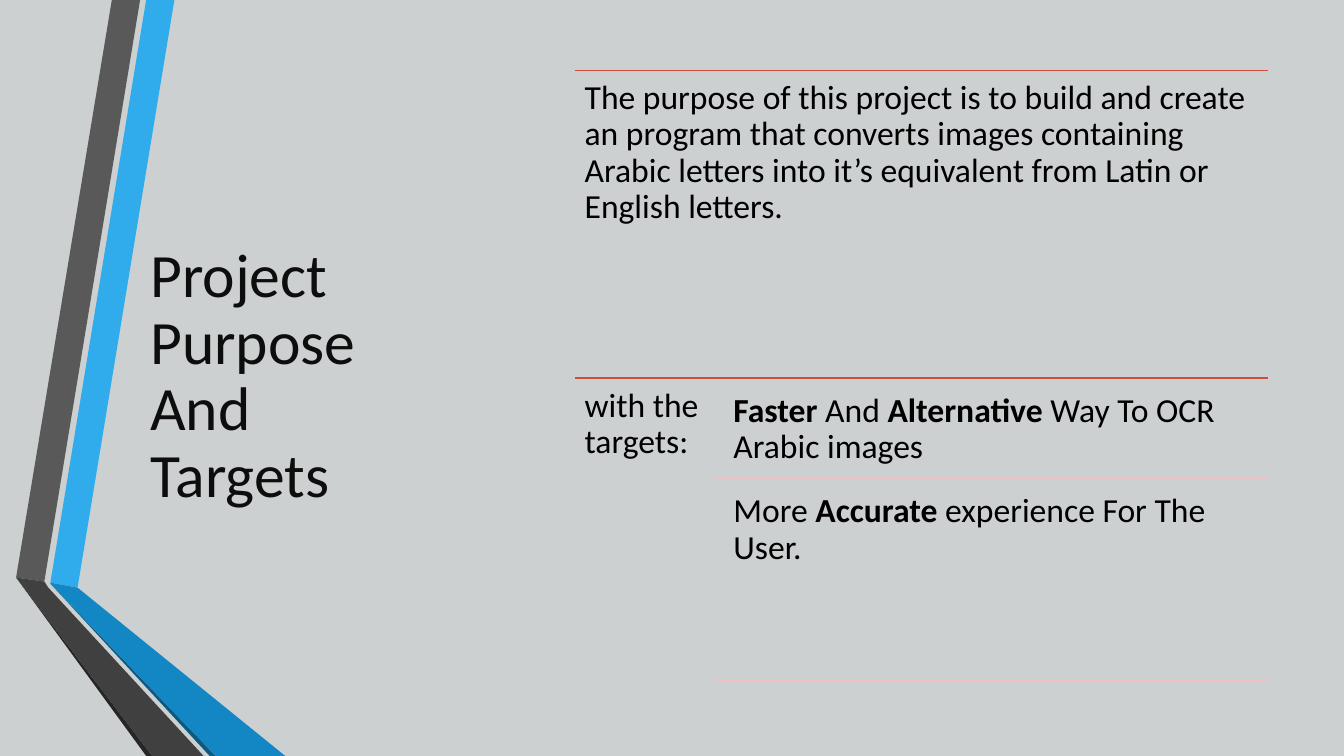
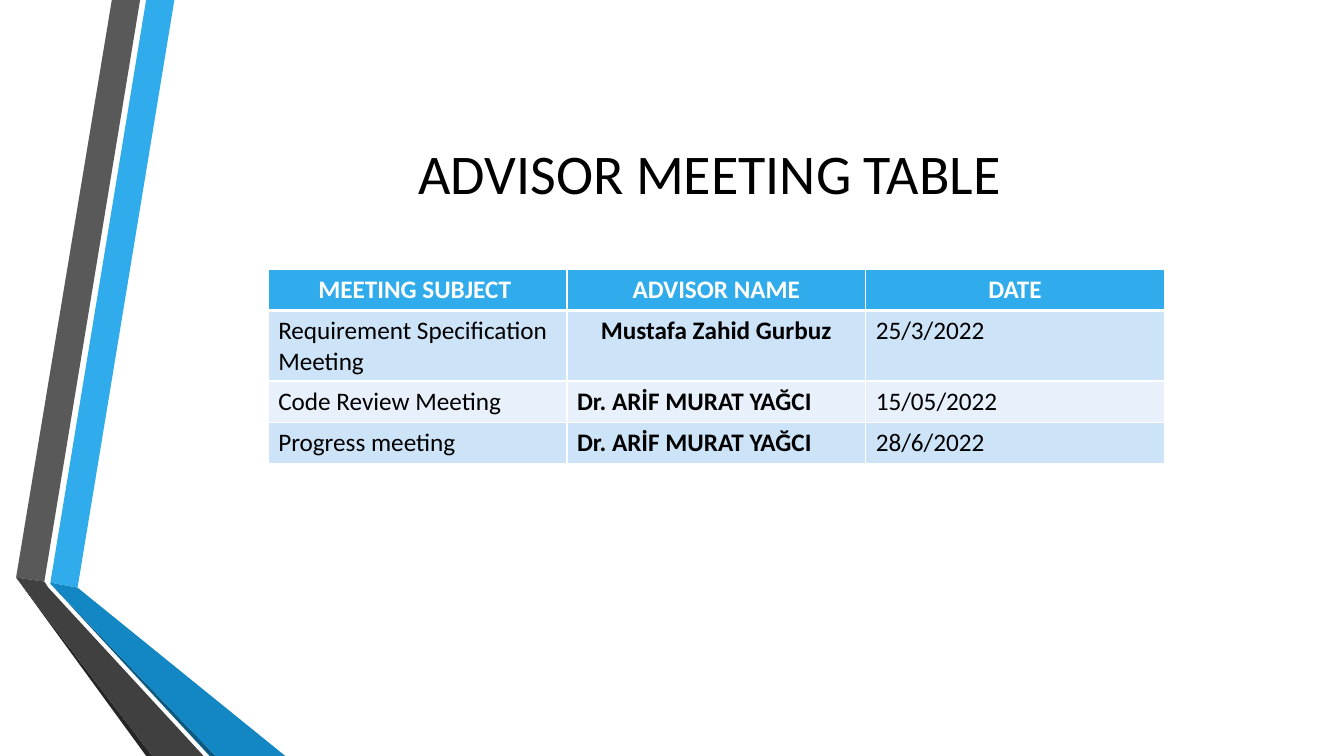
import pptx
import pptx.dml.color
import pptx.enum.shapes
import pptx.enum.text
import pptx.oxml
import pptx.oxml.ns
import pptx.util

Inches = pptx.util.Inches
Pt = pptx.util.Pt
ALIGN = pptx.enum.text.PP_ALIGN
ANCHOR = pptx.enum.text.MSO_ANCHOR
FONT = "Calibri"
COLORS = {
    "mist": "CDD0D1", "white": "FFFFFF", "black": "000000", "ink": "0D0D0D",
    "sky": "30ACEC", "azure": "1287C3", "navy": "0C5A82",
    "gray": "595959", "charcoal": "404040", "coal": "262626",
    "red": "D64A3B", "pink": "ECC1BF", "band": "CDE3F8", "pale_band": "E8F1FB",
}
RIBBONS = [
    ("sky", [(0.5, 5.78), (0.77, 5.83), (1.73, 0), (1.45, 0)]),
    ("gray", [(1.39, 0), (1.11, 0), (0.16, 5.73), (0.44, 5.77)]),
    ("coal", [(0.16, 5.73), (1.45, 7.5), (1.51, 7.5)]),
    ("navy", [(0.5, 5.79), (2.08, 7.5), (2.14, 7.5)]),
    ("azure", [(0.5, 5.79), (2.14, 7.5), (2.83, 7.5), (0.77, 5.83), (0.5, 5.78)]),
    ("charcoal", [(2.02, 7.5), (0.48, 5.83), (0.44, 5.77), (0.16, 5.73), (1.51, 7.5)]),
]
PURPOSE = ("The purpose of this project is to build and create an program that converts "
           "images containing Arabic letters into it’s equivalent from Latin or English letters.")
TARGETS = ["**Faster** And **Alternative** Way To OCR Arabic images",
           "More **Accurate **experience For The User.", None]
MEETINGS = [
    ("MEETING SUBJECT ", "ADVISOR NAME", "DATE"),
    ("Requirement Specification Meeting", "Mustafa Zahid Gurbuz", "25/3/2022"),
    ("Code Review Meeting", "Dr. ARİF MURAT YAĞCI", "15/05/2022"),
    ("Progress meeting", "Dr. ARİF MURAT YAĞCI", "28/6/2022"),
]


def rgb(name):
    """Return a palette colour."""
    return pptx.dml.color.RGBColor.from_string(COLORS[name])


def inches(*lengths):
    """Convert several lengths to inches."""
    return [Inches(length) for length in lengths]


def write(frame, text, size=24, color="black", bold=False, align=ALIGN.LEFT,
          anchor=ANCHOR.TOP, leading=None, after=0):
    """Fill a text frame; double asterisks switch bold on and off."""
    frame.word_wrap = True
    frame.vertical_anchor = anchor
    paragraph = frame.paragraphs[0]
    paragraph.alignment = align
    paragraph.line_spacing = leading
    paragraph.space_after = Pt(after)
    for index, part in enumerate(text.split("**")):
        if part:
            run = paragraph.add_run()
            run.text = part
            run.font.name = FONT
            run.font.size = Pt(size)
            run.font.bold = bold or index % 2 == 1
            run.font.color.rgb = rgb(color)


def add_text(slide, box, text, inset=0.1, **style):
    """Add a text box with even insets."""
    frame = slide.shapes.add_textbox(*inches(*box)).text_frame
    frame.margin_left = frame.margin_right = Inches(inset)
    frame.margin_top = frame.margin_bottom = Inches(inset)
    write(frame, text, **style)


def add_rule(slide, left, right, top, color):
    """Draw a horizontal rule."""
    rule = slide.shapes.add_connector(
        pptx.enum.shapes.MSO_CONNECTOR.STRAIGHT, *inches(left, top, right, top))
    rule.line.color.rgb = rgb(color)
    rule.line.width = Pt(1.25)
    properties = rule._element.spPr
    properties.append(properties.makeelement(pptx.oxml.ns.qn("a:effectLst"), {}))


def add_ribbons(slide):
    """Draw the folded ribbons along the left edge."""
    group = slide.shapes.add_group_shape()
    for color, points in RIBBONS:
        start, *others = [inches(*point) for point in points]
        builder = group.shapes.build_freeform(*start)
        builder.add_line_segments(others, close=True)
        ribbon = builder.convert_to_shape()
        ribbon.shadow.inherit = False
        ribbon.fill.solid()
        ribbon.fill.fore_color.rgb = rgb(color)
        ribbon.line.fill.background()


def new_slide(deck, background):
    """Add a blank slide with its background and ribbons."""
    slide = deck.slides.add_slide(deck.slide_layouts[6])
    slide.background.fill.solid()
    slide.background.fill.fore_color.rgb = rgb(background)
    add_ribbons(slide)
    return slide


def add_side_title(slide, box, text):
    """Place a title inside an unfilled ellipse."""
    oval = slide.shapes.add_shape(pptx.enum.shapes.MSO_SHAPE.OVAL, *inches(*box))
    oval.shadow.inherit = False
    oval.fill.background()
    oval.line.fill.background()
    write(oval.text_frame, text, size=44, color="ink", anchor=ANCHOR.MIDDLE,
          leading=0.9, after=6)


def add_purpose(slide, box):
    """Lay out the purpose above the list of targets."""
    left, top, width, height = box
    right, half = left + width, height / 2
    middle = top + half
    label_width = width / 5
    style = {"leading": 0.9, "after": 8.4}
    add_rule(slide, left, right, top, "red")
    add_text(slide, (left, top, width, half), PURPOSE, **style)
    add_rule(slide, left, right, middle, "red")
    add_text(slide, (left, middle, label_width, half), "with the targets:", **style)
    target_left = left + label_width + 0.1
    gap, target_height = 0.05, 0.95
    for index, target in enumerate(TARGETS):
        target_top = middle + gap + index * (target_height + gap)
        if target:
            add_text(slide, (target_left, target_top, right - target_left, target_height),
                     target, **style)
        add_rule(slide, left + label_width, right, target_top + target_height, "pink")


def set_borders(cell, bottom):
    """Give a cell white borders with the stated bottom width."""
    properties = cell._tc.get_or_add_tcPr()
    for side, width in (("L", 1), ("R", 1), ("T", 1), ("B", bottom)):
        properties.append(pptx.oxml.parse_xml(
            f'<a:ln{side} {pptx.oxml.ns.nsdecls("a")} w="{Pt(width)}"><a:solidFill>'
            f'<a:srgbClr val="{COLORS["white"]}"/></a:solidFill></a:ln{side}>'))


def add_meetings(slide, box):
    """Build the banded meeting table."""
    table = slide.shapes.add_table(len(MEETINGS), len(MEETINGS[0]), *inches(*box)).table
    for row, height in zip(table.rows, (0.41, 0.7, 0.41, 0.41)):
        row.height = Inches(height)
    for r, meeting in enumerate(MEETINGS):
        header = r == 0
        fill = "sky" if header else ("pale_band", "band")[r % 2]
        for c, text in enumerate(meeting):
            cell = table.cell(r, c)
            set_borders(cell, 3 if header else 1)
            cell.fill.solid()
            cell.fill.fore_color.rgb = rgb(fill)
            centered = header or (r, c) == (1, 1)
            write(cell.text_frame, text, size=18, color="white" if header else "black",
                  bold=header or c == 1, align=ALIGN.CENTER if centered else ALIGN.LEFT)


def purpose_slide(deck):
    """Build the purpose and targets slide."""
    slide = new_slide(deck, "mist")
    add_side_title(slide, (0.92, 0.7, 3.23, 6.09), "Project Purpose And Targets")
    add_purpose(slide, (5.7, 0.7, 6.88, 6.1))


def meeting_slide(deck):
    """Build the advisor meeting slide."""
    slide = new_slide(deck, "white")
    add_text(slide, (1.62, 0.75, 10.96, 1.92), "ADVISOR MEETING TABLE ", size=40,
             align=ALIGN.CENTER, anchor=ANCHOR.MIDDLE)
    add_meetings(slide, (2.66, 2.67, 8.89, 1.93))


def main():
    """Build and save the deck."""
    deck = pptx.Presentation()
    deck.slide_width, deck.slide_height = inches(13.33, 7.5)
    purpose_slide(deck)
    meeting_slide(deck)
    deck.save("out.pptx")


if __name__ == "__main__":
    main()
